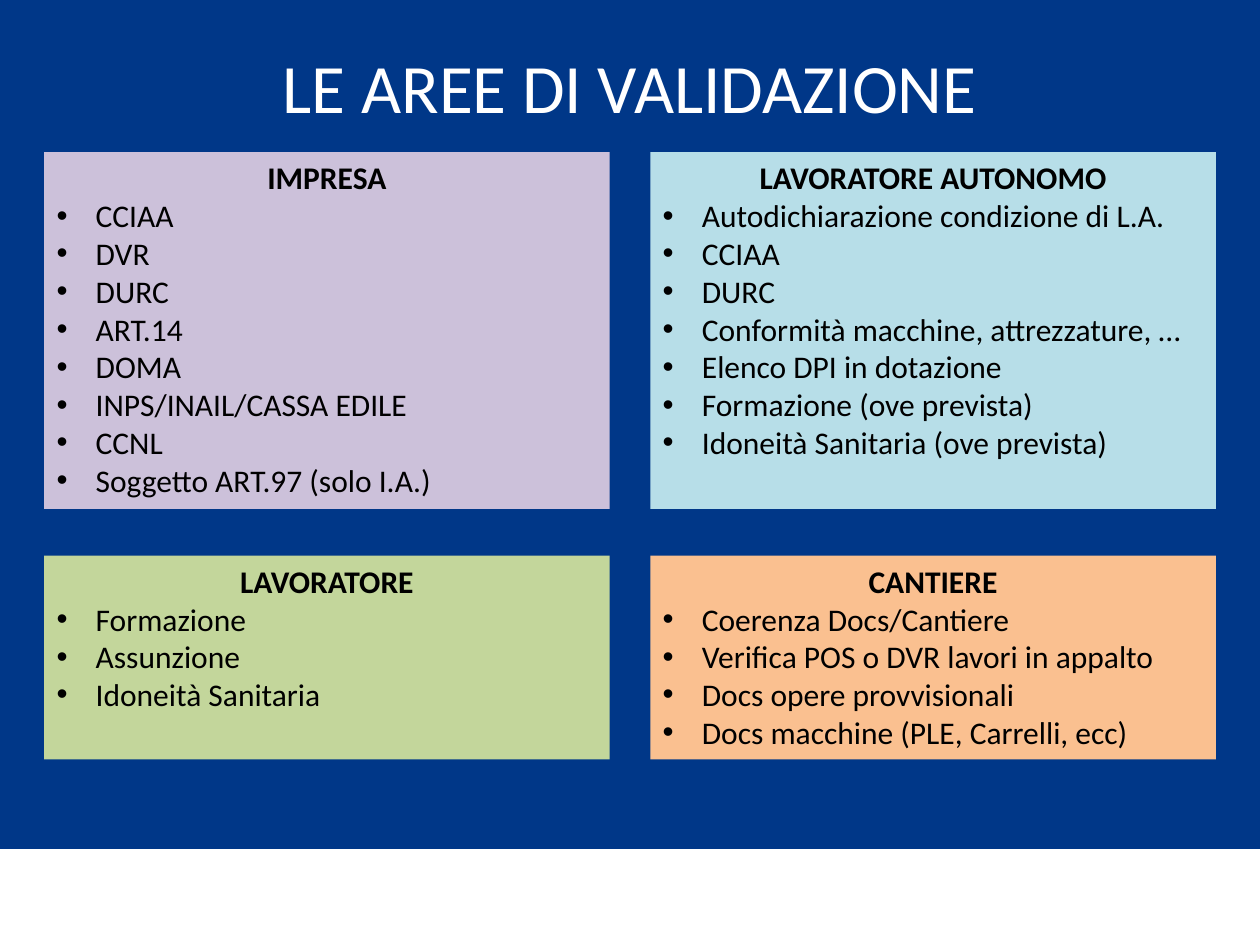
from lxml import etree
from pptx import Presentation
from pptx.dml.color import RGBColor
from pptx.enum.shapes import MSO_SHAPE
from pptx.enum.text import MSO_ANCHOR, PP_ALIGN
from pptx.oxml.ns import qn
from pptx.util import Cm, Pt

RECT = MSO_SHAPE.RECTANGLE
TOP, MIDDLE = MSO_ANCHOR.TOP, MSO_ANCHOR.MIDDLE
LEFT, CENTER = PP_ALIGN.LEFT, PP_ALIGN.CENTER

COLORS = {
    "background": "003788",
    "white": "FFFFFF",
    "black": "000000",
    "impresa": "CCC1DA",
    "lavoratore": "C3D69B",
    "autonomo": "B7DEE8",
    "cantiere": "FAC090",
}
COLUMNS = [0.89, 13.11]
ROWS = [(3.07, 7.19), (11.2, 4.11)]
BOX_WIDTH = 11.4
INDENT = Cm(0.79)

AREAS = [
    (0, 0, "impresa", "IMPRESA",
     ["CCIAA", "DVR", "DURC", "ART.14", "DOMA", "INPS/INAIL/CASSA EDILE",
      "CCNL", "Soggetto ART.97 (solo I.A.)"]),
    (0, 1, "lavoratore", "LAVORATORE",
     ["Formazione", "Assunzione", "Idoneità Sanitaria"]),
    (1, 0, "autonomo", "LAVORATORE AUTONOMO",
     ["Autodichiarazione condizione di L.A.", "CCIAA", "DURC",
      "Conformità macchine, attrezzature, …", "Elenco DPI in dotazione",
      "Formazione (ove prevista)", "Idoneità Sanitaria (ove prevista)"]),
    (1, 1, "cantiere", "CANTIERE",
     ["Coerenza Docs/Cantiere", "Verifica POS o DVR lavori in appalto",
      "Docs opere provvisionali", "Docs macchine (PLE, Carrelli, ecc)"]),
]


def add_rect(left, top, width, height, color):
    sp = slide.shapes.add_shape(RECT, Cm(left), Cm(top), Cm(width), Cm(height))
    sp.shadow.inherit = False
    sp.fill.solid()
    sp.fill.fore_color.rgb = RGBColor.from_string(COLORS[color])
    sp.line.fill.background()
    return sp


def add_run(p, text, size, color, bold=False):
    r = p.add_run()
    r.text = text
    r.font.name = "Calibri"
    r.font.size = Pt(size)
    r.font.bold = bold
    r.font.color.rgb = RGBColor.from_string(COLORS[color])


prs = Presentation()
prs.slide_width, prs.slide_height = Cm(25.4), Cm(19.05)
slide = prs.slides.add_slide(prs.slide_layouts[6])
slide.background.fill.solid()
slide.background.fill.fore_color.rgb = RGBColor.from_string(COLORS["background"])

title = slide.shapes.add_textbox(Cm(1.27), Cm(0.76), Cm(22.86), Cm(1.93))
tf = title.text_frame
tf.word_wrap = True
tf.vertical_anchor = MIDDLE
p = tf.paragraphs[0]
p.alignment = CENTER
add_run(p, "LE AREE DI VALIDAZIONE", 39.6, "white")

add_rect(0, 17.12, 25.4, 1.93, "white")

for col, row, color, heading, items in AREAS:
    top, height = ROWS[row]
    sp = add_rect(COLUMNS[col], top, BOX_WIDTH, height, color)
    tf = sp.text_frame
    tf.word_wrap = True
    tf.vertical_anchor = TOP
    p = tf.paragraphs[0]
    p.alignment = CENTER
    add_run(p, heading, 18, "black", bold=True)
    for item in items:
        p = tf.add_paragraph()
        p.alignment = LEFT
        pPr = p._p.get_or_add_pPr()
        pPr.set("marL", str(INDENT))
        pPr.set("indent", str(-INDENT))
        etree.SubElement(pPr, qn("a:buFont")).set("typeface", "Arial")
        etree.SubElement(pPr, qn("a:buChar")).set("char", "•")
        add_run(p, item, 18, "black")

prs.save("out.pptx")
